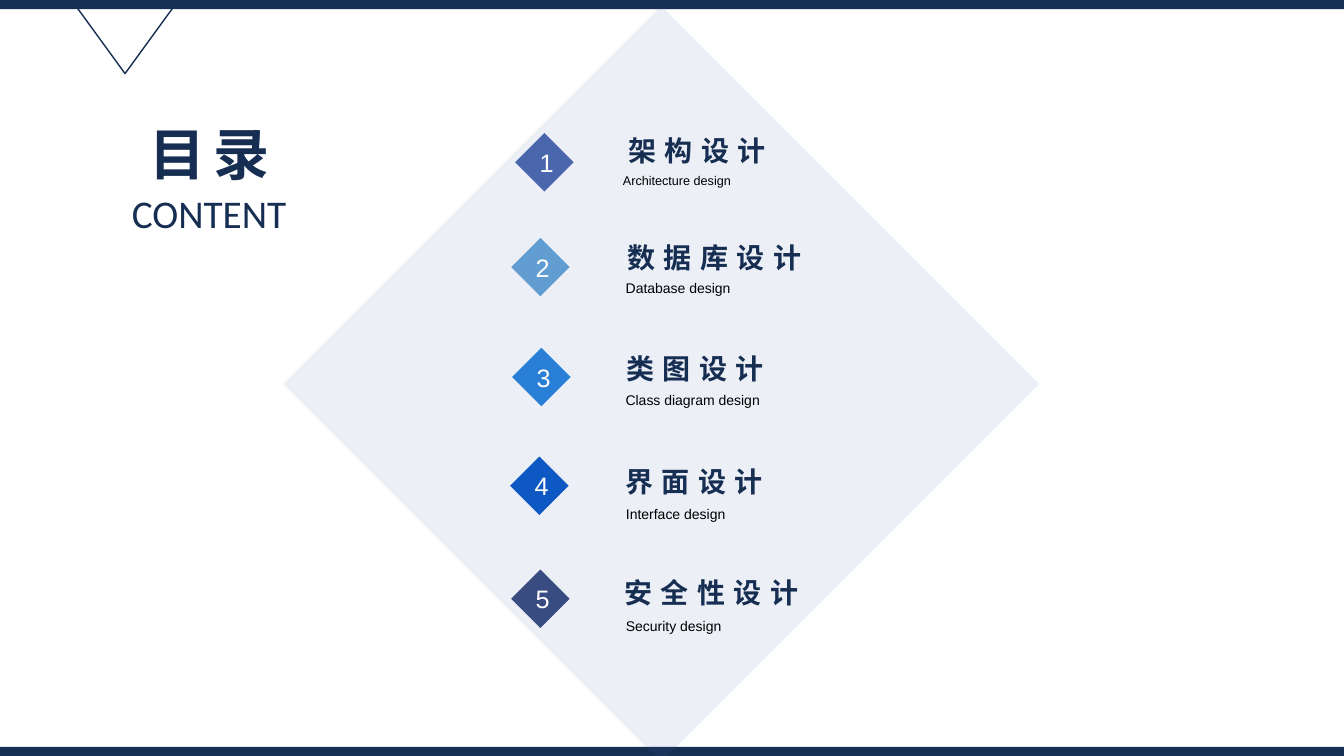
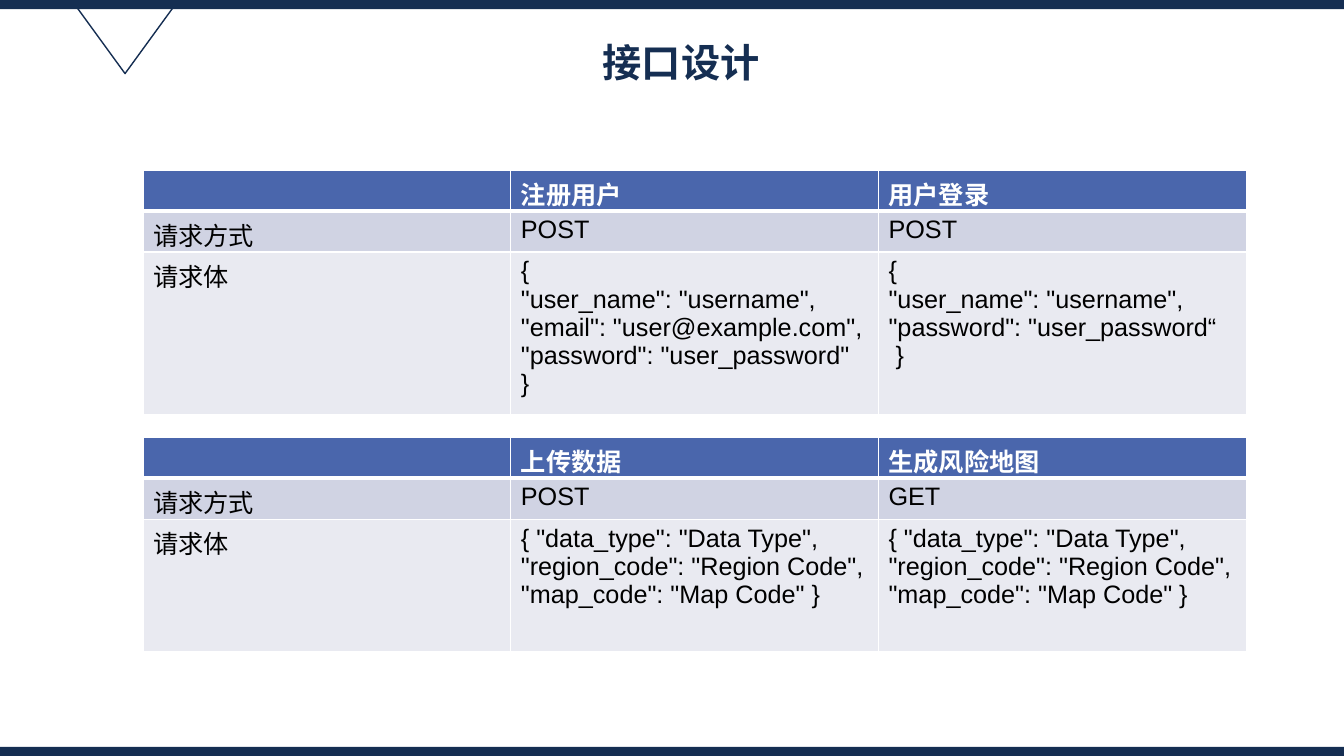
from dataclasses import dataclass
from typing import Optional

import lxml.etree
import pptx
import pptx.dml.color
import pptx.enum.shapes
import pptx.enum.text
import pptx.oxml.ns
import pptx.util

Inches = pptx.util.Inches
Pt = pptx.util.Pt
ShapeKind = pptx.enum.shapes.MSO_SHAPE
Align = pptx.enum.text.PP_ALIGN

SLIDE_WIDTH, SLIDE_HEIGHT = 13.33, 7.5
BAND_HEIGHT = 0.09
NAVY, INDIGO, WHITE, BLACK = "152E52", "4A66AC", "FFFFFF", "000000"
ROW_FILLS = (INDIGO, "D0D3E3", "E9EAF1")
LINE_SPACING = 1.14
MARKER_SIZE = 0.58


@dataclass(frozen=True)
class Box:
    left: float
    top: float
    width: float
    height: float

    def lengths(self) -> tuple:
        return tuple(Inches(value) for value in (self.left, self.top, self.width, self.height))


@dataclass(frozen=True)
class TextStyle:
    size: float
    color: str = NAVY
    bold: bool = False
    name: str = "Arial"
    align: Optional[Align] = None
    line_spacing: Optional[float] = None
    letter_spacing: float = 0


@dataclass(frozen=True)
class Chapter:
    color: str
    marker_left: float
    marker_top: float
    title: str
    title_left: float
    title_top: float
    subtitle: str
    subtitle_box: Box
    subtitle_style: TextStyle


@dataclass(frozen=True)
class InterfaceTable:
    top: float
    body_height: float
    headers: tuple
    methods: tuple
    bodies: tuple


CONTENTS_TITLE = TextStyle(40, bold=True, line_spacing=LINE_SPACING, letter_spacing=6)
CONTENTS_SUBTITLE = TextStyle(28, name="Calibri", align=Align.JUSTIFY, line_spacing=LINE_SPACING)
CHAPTER_TITLE = TextStyle(20, bold=True, align=Align.CENTER, line_spacing=LINE_SPACING, letter_spacing=6)
SMALL_LEFT = TextStyle(9, BLACK, align=Align.JUSTIFY)
SMALL_TIGHT = TextStyle(10, BLACK, align=Align.CENTER)
SMALL = TextStyle(10, BLACK, align=Align.CENTER, line_spacing=LINE_SPACING)
MARKER_NUMBER = TextStyle(18, WHITE, align=Align.CENTER)
SLIDE_TITLE = TextStyle(28, bold=True, line_spacing=LINE_SPACING)
TABLE_HEADER = TextStyle(18, WHITE, bold=True)
TABLE_BODY = TextStyle(18, BLACK)

CHAPTERS = (
    Chapter(INDIGO, 5.11, 1.32, "架构设计", 5.7, 1.23,
            "Architecture design", Box(6.08, 1.67, 1.65, 0.25), SMALL_LEFT),
    Chapter("629DD1", 5.07, 2.36, "数据库设计", 5.87, 2.29,
            "Database design", Box(5.28, 2.72, 2.89, 0.27), SMALL_TIGHT),
    Chapter("297FD5", 5.08, 3.45, "类图设计", 5.68, 3.39,
            "Class diagram design", Box(5.81, 3.81, 2.12, 0.28), SMALL),
    Chapter("0E58C4", 5.06, 4.53, "界面设计", 5.67, 4.51,
            "Interface design", Box(5.64, 4.94, 2.12, 0.28), SMALL),
    Chapter("384C81", 5.07, 5.65, "安全性设计", 5.84, 5.61,
            "Security design", Box(5.62, 6.05, 2.12, 0.28), SMALL),
)

MAP_REQUEST = ('{ "data_type": "Data Type", "region_code": "Region Code", "map_code": "Map Code" }',)
INTERFACE_TABLES = (
    InterfaceTable(
        1.69, 1.61, ("注册用户", "用户登录"), ("POST", "POST"),
        (("{", '"user_name": "username", "email": "user@example.com", "password": "user_password"', "}"),
         ("{", '"user_name": "username", "password": "user_password“', " }"))),
    InterfaceTable(
        4.34, 1.31, ("上传数据", "生成风险地图"), ("POST", "GET"),
        (MAP_REQUEST, MAP_REQUEST)),
)


def rgb(color: str) -> pptx.dml.color.RGBColor:
    return pptx.dml.color.RGBColor.from_string(color)


def write_text(frame, lines: tuple, style: TextStyle) -> None:
    for index, line in enumerate(lines):
        paragraph = frame.add_paragraph() if index else frame.paragraphs[0]
        run = paragraph.add_run()
        run.text = line
        paragraph.alignment = style.align
        paragraph.line_spacing = style.line_spacing
        font = paragraph.font
        font.size, font.name, font.bold = Pt(style.size), style.name, style.bold
        font.color.rgb = rgb(style.color)
        if style.letter_spacing:
            run._r.get_or_add_rPr().set("spc", str(int(style.letter_spacing * 100)))


def add_text(slide, box: Box, text: str, style: TextStyle) -> None:
    frame = slide.shapes.add_textbox(*box.lengths()).text_frame
    frame.word_wrap = True
    frame.auto_size = pptx.enum.text.MSO_AUTO_SIZE.SHAPE_TO_FIT_TEXT
    write_text(frame, (text,), style)


def add_shape(slide, kind: ShapeKind, box: Box, fill: Optional[str] = None, line: Optional[str] = None):
    shape = slide.shapes.add_shape(kind, *box.lengths())
    shape.shadow.inherit = False
    if fill:
        shape.fill.solid()
        shape.fill.fore_color.rgb = rgb(fill)
    else:
        shape.fill.background()
    if line:
        shape.line.color.rgb = rgb(line)
        shape.line.width = Pt(1)
    else:
        shape.line.fill.background()
    return shape


def set_opacity(shape, percent: int) -> None:
    color = shape._element.spPr.find(".//" + pptx.oxml.ns.qn("a:srgbClr"))
    lxml.etree.SubElement(color, pptx.oxml.ns.qn("a:alpha")).set("val", str(percent * 1000))


def set_borders(cell, top: float, bottom: float) -> None:
    """Draw white borders, one point wide at the sides."""
    properties = cell._tc.get_or_add_tcPr()
    for index, (side, width) in enumerate((("L", 1), ("R", 1), ("T", top), ("B", bottom))):
        line = lxml.etree.Element(pptx.oxml.ns.qn(f"a:ln{side}"), w=str(Pt(width)))
        fill = lxml.etree.SubElement(line, pptx.oxml.ns.qn("a:solidFill"))
        lxml.etree.SubElement(fill, pptx.oxml.ns.qn("a:srgbClr")).set("val", WHITE)
        properties.insert(index, line)


def add_base_slide(presentation):
    """Add a blank slide with the shared bands and corner ornament."""
    slide = presentation.slides.add_slide(presentation.slide_layouts[6])
    for top in (0, SLIDE_HEIGHT - BAND_HEIGHT):
        add_shape(slide, ShapeKind.RECTANGLE, Box(0, top, SLIDE_WIDTH, BAND_HEIGHT), NAVY)
    ornament = add_shape(slide, ShapeKind.ISOSCELES_TRIANGLE, Box(0.76, 0.07, 0.96, 0.66), line=NAVY)
    ornament.rotation = 180
    return slide


def add_chapter(slide, number: int, chapter: Chapter) -> None:
    marker_box = Box(chapter.marker_left, chapter.marker_top, MARKER_SIZE, MARKER_SIZE)
    marker = add_shape(slide, ShapeKind.DIAMOND, marker_box, chapter.color)
    marker.text_frame.vertical_anchor = pptx.enum.text.MSO_ANCHOR.MIDDLE
    write_text(marker.text_frame, (str(number),), MARKER_NUMBER)
    add_text(slide, Box(chapter.title_left, chapter.title_top, 2.43, 0.45), chapter.title, CHAPTER_TITLE)
    add_text(slide, chapter.subtitle_box, chapter.subtitle, chapter.subtitle_style)


def add_interface_table(slide, content: InterfaceTable) -> None:
    heights = (0.39, 0.41, content.body_height)
    rows = (
        ((), *((header,) for header in content.headers)),
        (("请求方式",), *((method,) for method in content.methods)),
        (("请求体",), *content.bodies),
    )
    box = Box(1.42, content.top, 10.94, sum(heights))
    table = slide.shapes.add_table(len(rows), len(rows[0]), *box.lengths()).table
    for row_index, (row, height, fill) in enumerate(zip(rows, heights, ROW_FILLS)):
        table.rows[row_index].height = Inches(height)
        for column_index, lines in enumerate(row):
            cell = table.cell(row_index, column_index)
            cell.fill.solid()
            cell.fill.fore_color.rgb = rgb(fill)
            set_borders(cell, top=3 if row_index == 1 else 1, bottom=3 if row_index == 0 else 1)
            write_text(cell.text_frame, lines, TABLE_BODY if row_index else TABLE_HEADER)


def build_contents_slide(presentation) -> None:
    slide = add_base_slide(presentation)
    backdrop = add_shape(slide, ShapeKind.DIAMOND, Box(2.81, 0.06, 7.5, 7.5), INDIGO)
    set_opacity(backdrop, 10)
    add_text(slide, Box(1.38, 1.04, 1.56, 0.8), "目录", CONTENTS_TITLE)
    add_text(slide, Box(1.21, 1.76, 1.9, 0.61), "CONTENT", CONTENTS_SUBTITLE)
    for number, chapter in enumerate(CHAPTERS, start=1):
        add_chapter(slide, number, chapter)


def build_interface_slide(presentation) -> None:
    slide = add_base_slide(presentation)
    add_text(slide, Box(5.88, 0.27, 1.82, 0.6), "接口设计", SLIDE_TITLE)
    for content in INTERFACE_TABLES:
        add_interface_table(slide, content)


def main() -> None:
    presentation = pptx.Presentation()
    presentation.slide_width = Inches(SLIDE_WIDTH)
    presentation.slide_height = Inches(SLIDE_HEIGHT)
    build_contents_slide(presentation)
    build_interface_slide(presentation)
    presentation.save("out.pptx")


if __name__ == "__main__":
    main()
